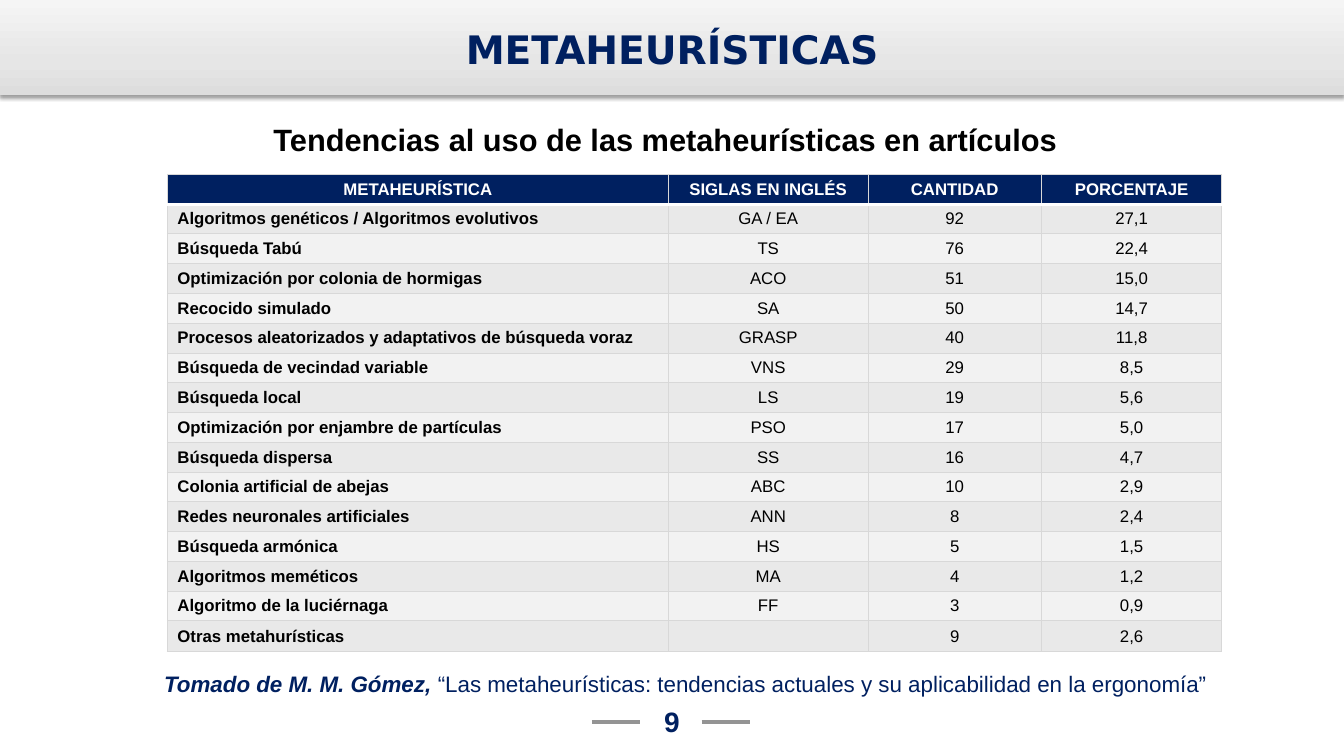
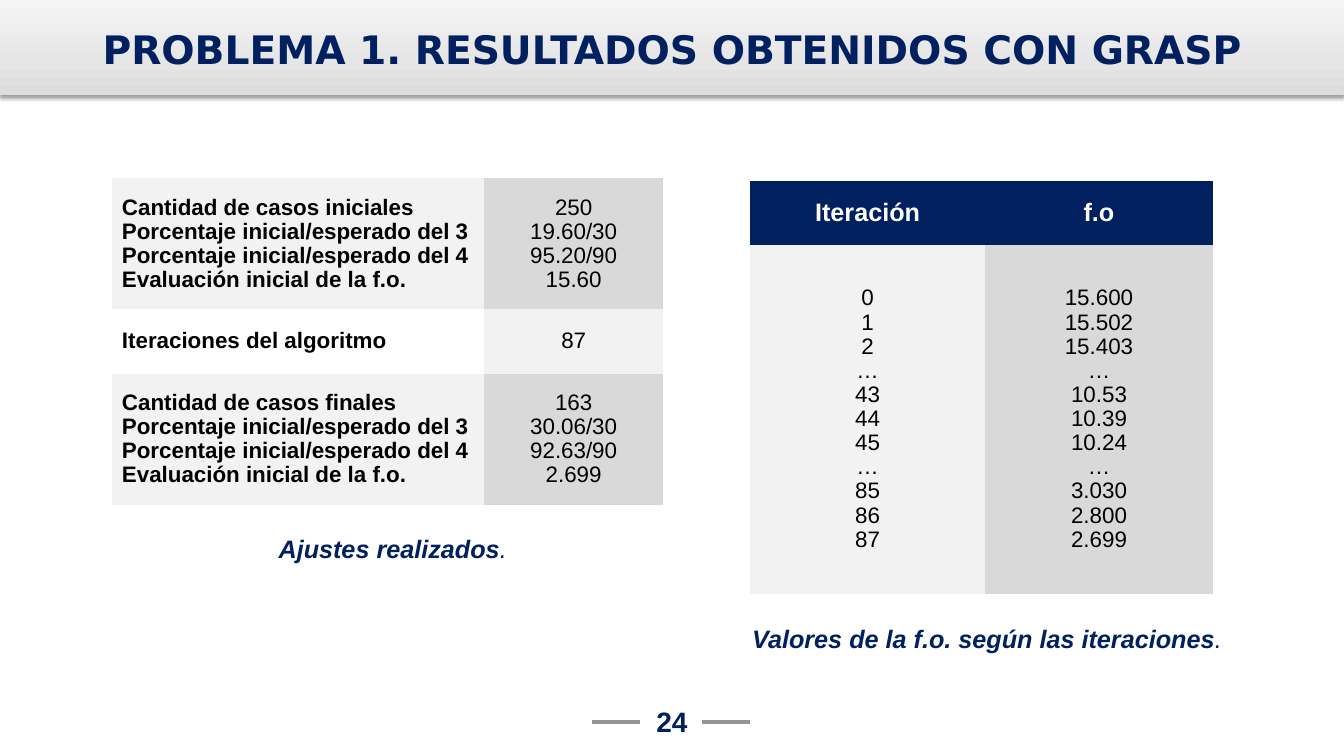
from copy import deepcopy
from dataclasses import dataclass

from lxml.etree import SubElement
from pptx import Presentation
from pptx.dml.color import RGBColor
from pptx.enum.shapes import MSO_CONNECTOR, MSO_SHAPE
from pptx.enum.text import MSO_ANCHOR, MSO_AUTO_SIZE, PP_ALIGN
from pptx.oxml.ns import qn
from pptx.util import Inches, Pt


# Theme: every colour, font and type size
@dataclass(frozen=True)
class Theme:
    navy: str = "002060"
    black: str = "000000"
    white: str = "FFFFFF"
    dash: str = "949494"
    border: str = "D8D8D8"
    band_stops: tuple = ((0, "DDDDDD"), (0.35, "E6E6E6"), (1, "F5F5F5"))
    dark_row: str = "E9E9E9"
    light_row: str = "F2F2F2"
    value_column: str = "D9D9D9"
    title_font: str = "DejaVu Sans"
    text_font: str = "Arial"
    title_size: int = 28
    subtitle_size: int = 22
    number_size: int = 20
    caption_size: int = 18
    text_size: int = 16
    small_size: int = 12


THEME = Theme()
WIDTH, HEIGHT = 13.33, 7.5
BAND_HEIGHT = 0.94
TITLE_LAYOUT, BODY_LAYOUT = 5, 1
PLAIN_TABLE = "{2D5ABB26-0587-4C30-8999-92F81FD0307C}"
LEFT, CENTER = PP_ALIGN.LEFT, PP_ALIGN.CENTER


def text_format(size, color=THEME.black, **extra):
    return {"name": THEME.text_font, "size": Pt(size), "color": color,
            "bold": False, "italic": False, **extra}


class SlideBuilder:
    """Holds the deck, its style and the current slide."""

    def __init__(self, theme):
        self.theme = theme
        self.deck = Presentation()
        self.deck.slide_width = Inches(WIDTH)
        self.deck.slide_height = Inches(HEIGHT)
        self.page = None

    # Text
    def fill_paragraph(self, paragraph, spans, align=LEFT, spacing=1.0):
        paragraph.alignment = align
        paragraph.line_spacing = spacing
        paragraph.space_before = Pt(0)
        for text, values in spans:
            if not text:
                SubElement(paragraph._p, qn("a:endParaRPr"), sz=str(int(values["size"].pt * 100)))
                continue
            span = paragraph.add_run()
            span.text = text
            for name, value in values.items():
                if name == "color":
                    span.font.color.rgb = RGBColor.from_string(value)
                else:
                    setattr(span.font, name, value)

    def fill_box(self, box, place, spans, align=CENTER, anchor=MSO_ANCHOR.TOP, inset=None):
        box.left, box.top, box.width, box.height = map(Inches, place)
        frame = box.text_frame
        values = {"word_wrap": True, "auto_size": MSO_AUTO_SIZE.NONE, "vertical_anchor": anchor}
        if inset is not None:
            sides = ("left", "right", "top", "bottom")
            values.update({f"margin_{side}": Inches(inset) for side in sides})
        for name, value in values.items():
            setattr(frame, name, value)
        self.fill_paragraph(frame.paragraphs[0], spans, align)

    def text(self, place, spans, **options):
        box = self.page.shapes.add_textbox(*map(Inches, place))
        self.fill_box(box, place, spans, **options)

    def caption(self, place, text):
        bold = text_format(self.theme.caption_size, self.theme.navy, bold=True, italic=True)
        self.text(place, [(text, bold), (".", {**bold, "bold": False})])

    def subtitle(self, text):
        box = self.page.placeholders[1]
        values = text_format(self.theme.subtitle_size, bold=True)
        properties = box.text_frame.paragraphs[0]._p.get_or_add_pPr()
        properties.set("marL", "0")
        properties.set("indent", "0")
        SubElement(properties, qn("a:buNone"))
        self.fill_box(box, (0, 1.15, 13.2, 0.52), [(text, values)])

    # Slide frame: band, title, number and dashes
    def start_page(self, title, number, layout=TITLE_LAYOUT):
        self.page = self.deck.slides.add_slide(self.deck.slide_layouts[layout])
        self.band()
        heading = text_format(self.theme.title_size, self.theme.navy, bold=True,
                              name=self.theme.title_font)
        self.fill_box(self.page.shapes.title, (0, 0.03, WIDTH, 0.91), [(title, heading)],
                      anchor=MSO_ANCHOR.MIDDLE, inset=0.05)
        figure = text_format(self.theme.number_size, self.theme.navy, bold=True)
        self.text((0, 6.85, WIDTH, 0.47), [(str(number), figure)],
                  anchor=MSO_ANCHOR.BOTTOM, inset=0)
        for left in (5.87, 6.96):
            self.dash(left, 7.16, 0.48)

    def band(self):
        band = self.page.shapes.add_shape(
            MSO_SHAPE.RECTANGLE, 0, 0, Inches(WIDTH), Inches(BAND_HEIGHT))
        band.line.fill.background()
        band.fill.gradient()
        band.fill.gradient_angle = 90
        properties = band.element.spPr
        stops = properties.find(".//" + qn("a:gsLst"))
        stops.insert(1, deepcopy(stops[0]))
        for stop, (position, color) in zip(band.fill.gradient_stops, self.theme.band_stops):
            stop.position = position
            stop.color.rgb = RGBColor.from_string(color)
        band.shadow.inherit = False
        shadow = SubElement(properties.find(qn("a:effectLst")), qn("a:outerShdw"),
                            blurRad=str(Pt(3.1)), dist=str(Pt(1.6)), dir="5400000",
                            rotWithShape="0")
        color = SubElement(shadow, qn("a:srgbClr"), val=self.theme.black)
        SubElement(color, qn("a:alpha"), val="38000")
        # The band lies behind the title
        band.element.getparent().insert(2, band.element)

    def dash(self, left, top, length):
        line = self.page.shapes.add_connector(
            MSO_CONNECTOR.STRAIGHT, *map(Inches, (left, top, left + length, top)))
        line.line.color.rgb = RGBColor.from_string(self.theme.dash)
        line.line.width = Pt(3)
        SubElement(line.element.spPr, qn("a:effectLst"))

    # Tables
    def table(self, left, top, columns, heights):
        frame = self.page.shapes.add_table(
            len(heights), len(columns),
            *map(Inches, (left, top, sum(columns), sum(heights))))
        table = frame.table
        table.first_row = table.horz_banding = False
        table._tbl.tblPr.find(qn("a:tableStyleId")).text = PLAIN_TABLE
        for column, width in zip(table.columns, columns):
            column.width = Inches(width)
        for row, height in zip(table.rows, heights):
            row.height = Inches(height)
        return table

    def cell(self, cell, lines, values, fill, align=CENTER, spacing=1.0, borders=None):
        for side, (color, width) in (borders or {}).items():
            line = SubElement(cell._tc.get_or_add_tcPr(), qn(f"a:ln{side}"), w=str(Pt(width)))
            SubElement(SubElement(line, qn("a:solidFill")), qn("a:srgbClr"), val=color)
        cell.fill.solid()
        cell.fill.fore_color.rgb = RGBColor.from_string(fill)
        cell.vertical_anchor = MSO_ANCHOR.MIDDLE
        frame = cell.text_frame
        for index, line in enumerate(lines):
            paragraph = frame.add_paragraph() if index else frame.paragraphs[0]
            self.fill_paragraph(paragraph, [(line, values)], align, spacing)


# Slide contents
TRENDS = [
    ("METAHEURÍSTICA", "SIGLAS EN INGLÉS", "CANTIDAD", "PORCENTAJE"),
    ("Algoritmos genéticos / Algoritmos evolutivos", "GA / EA", "92", "27,1"),
    ("Búsqueda Tabú", "TS", "76", "22,4"),
    ("Optimización por colonia de hormigas", "ACO", "51", "15,0"),
    ("Recocido simulado", "SA", "50", "14,7"),
    ("Procesos aleatorizados y adaptativos de búsqueda voraz", "GRASP", "40", "11,8"),
    ("Búsqueda de vecindad variable", "VNS", "29", "8,5"),
    ("Búsqueda local", "LS", "19", "5,6"),
    ("Optimización por enjambre de partículas", "PSO", "17", "5,0"),
    ("Búsqueda dispersa", "SS", "16", "4,7"),
    ("Colonia artificial de abejas", "ABC", "10", "2,9"),
    ("Redes neuronales artificiales", "ANN", "8", "2,4"),
    ("Búsqueda armónica", "HS", "5", "1,5"),
    ("Algoritmos meméticos", "MA", "4", "1,2"),
    ("Algoritmo de la luciérnaga", "FF", "3", "0,9"),
    ("Otras metahurísticas", "", "9", "2,6"),
]
MEASURES = ["Porcentaje inicial/esperado del 3", "Porcentaje inicial/esperado del 4",
            "Evaluación inicial de la f.o."]
ADJUSTMENTS = [
    (["Cantidad de casos iniciales", *MEASURES], ["250", "19.60/30", "95.20/90", "15.60"]),
    (["Iteraciones del algoritmo"], ["87"]),
    (["Cantidad de casos finales", *MEASURES], ["163", "30.06/30", "92.63/90", "2.699"]),
]
ITERATIONS = {
    "Iteración": ["0", "1", "2", "…", "43", "44", "45", "…", "85", "86", "87"],
    "f.o": ["15.600", "15.502", "15.403", "…", "10.53", "10.39", "10.24", "…",
            "3.030", "2.800", "2.699"],
}
TIGHT = 0.97


def trends_slide(builder):
    theme = builder.theme
    builder.start_page("METAHEURÍSTICAS", 9, BODY_LAYOUT)
    builder.subtitle("Tendencias al uso de las metaheurísticas en artículos")

    # Trends table
    table = builder.table(1.66, 1.73, (4.97, 1.98, 1.72, 1.79), [4.73 / len(TRENDS)] * len(TRENDS))
    thin, thick = (theme.border, 0.75), (theme.white, 2.25)
    for row, texts in enumerate(TRENDS):
        header = row == 0
        fill = theme.navy if header else (theme.dark_row if row % 2 else theme.light_row)
        borders = {"L": thin, "R": thin, "T": thick if row == 1 else thin,
                   "B": thick if header else thin}
        for column, text in enumerate(texts):
            values = text_format(theme.small_size, theme.white if header else theme.black,
                                 bold=header or column == 0)
            align = CENTER if header or column else LEFT
            builder.cell(table.cell(row, column), [text], values, fill, align, borders=borders)

    # Source line
    plain = text_format(theme.text_size, theme.navy)
    builder.text((1.53, 6.6, 10.71, 0.4), [
        ("Tomado de M. M. Gómez, ", {**plain, "bold": True, "italic": True}),
        ("“Las metaheurísticas: tendencias actuales y su aplicabilidad en la ergonomía”", plain),
    ], align=LEFT)


def results_slide(builder):
    theme = builder.theme
    builder.start_page("PROBLEMA 1. RESULTADOS OBTENIDOS CON GRASP", 24)
    plain = text_format(theme.text_size)
    bold = {**plain, "bold": True}

    # Adjustments table
    table = builder.table(1.11, 1.77, (3.69, 1.78), (1.3, 0.64, 1.3))
    for row, (labels, figures) in enumerate(ADJUSTMENTS):
        fills = ((theme.white, theme.light_row) if row % 2
                 else (theme.light_row, theme.value_column))
        builder.cell(table.cell(row, 0), labels, bold, fills[0], LEFT, TIGHT)
        builder.cell(table.cell(row, 1), figures, plain, fills[1], CENTER, TIGHT)
    builder.caption((1.12, 5.24, 5.55, 0.4), "Ajustes realizados")

    # Iterations table
    table = builder.table(7.44, 1.8, (2.33, 2.26), (0.63, 3.46))
    heading = text_format(theme.caption_size, theme.white, bold=True)
    fills = (theme.light_row, theme.value_column)
    for column, (name, figures) in enumerate(ITERATIONS.items()):
        builder.cell(table.cell(0, column), [name], heading, theme.navy)
        builder.cell(table.cell(1, column), figures, plain, fills[column], CENTER, TIGHT)
    builder.caption((7.2, 6.13, 5.18, 0.4), "Valores de la f.o. según las iteraciones")


def main():
    builder = SlideBuilder(THEME)
    trends_slide(builder)
    results_slide(builder)
    builder.deck.save("out.pptx")


if __name__ == "__main__":
    main()
